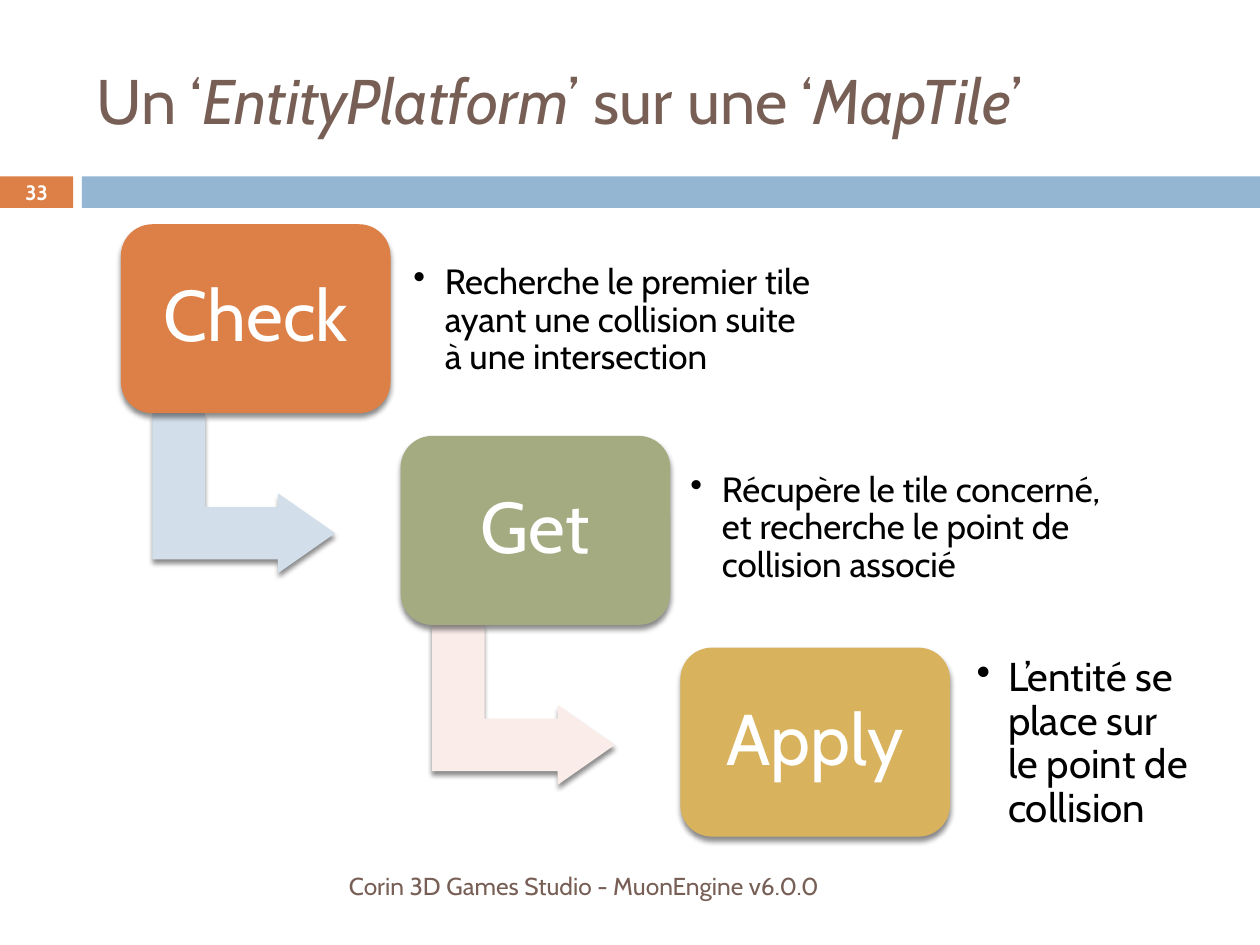
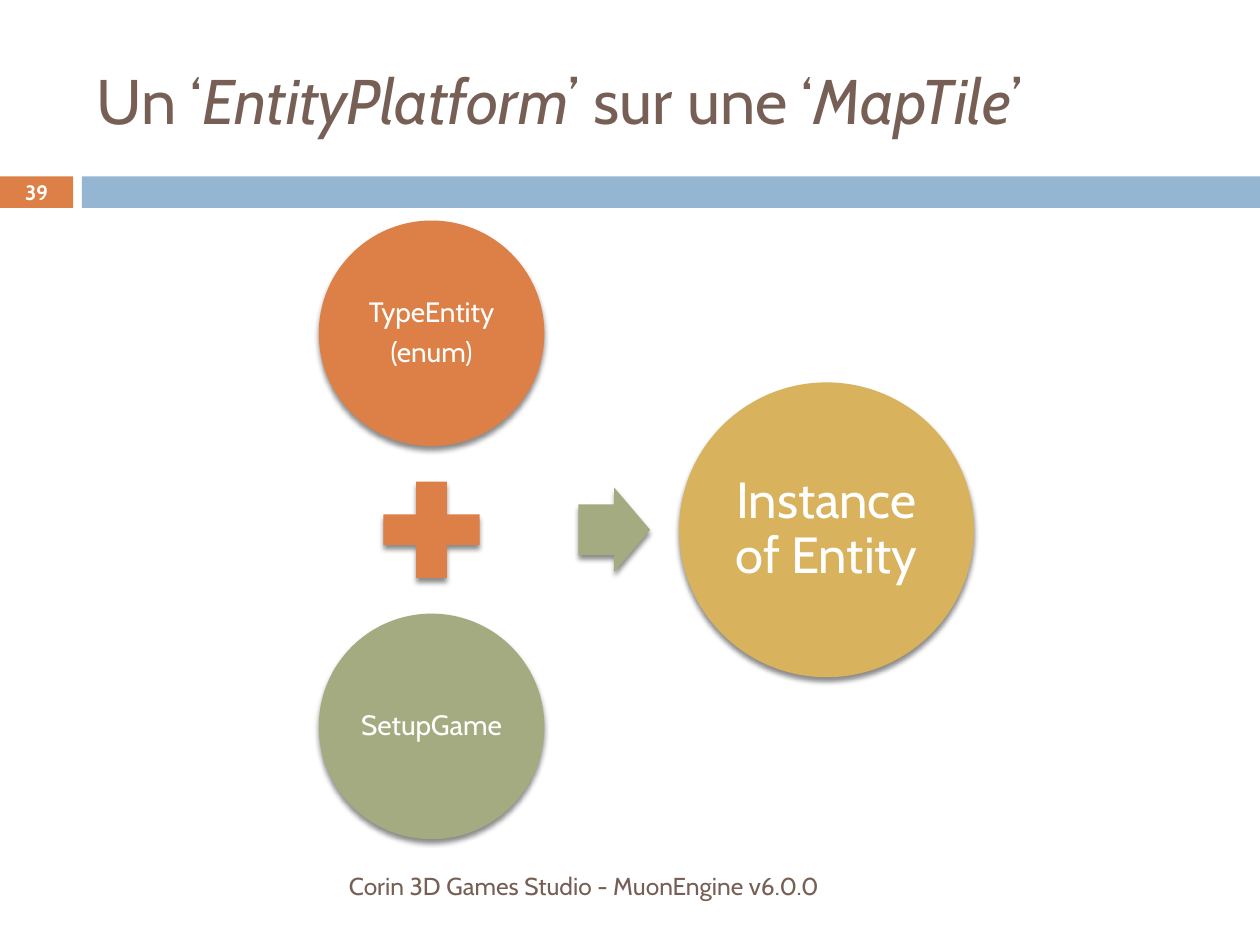
"""Build two slides on placing an entity on a tile map: a step flow and a sum of two parts."""
from lxml.etree import SubElement
from pptx import Presentation
from pptx.dml.color import RGBColor
from pptx.enum.shapes import MSO_SHAPE
from pptx.enum.text import MSO_ANCHOR, PP_ALIGN
from pptx.oxml.ns import qn
from pptx.util import Inches, Pt

ORANGE = RGBColor(0xDD, 0x80, 0x47)
BLUE = RGBColor(0x94, 0xB6, 0xD2)
GREEN = RGBColor(0xA5, 0xAB, 0x81)
GOLD = RGBColor(0xD8, 0xB2, 0x5C)
PALE_BLUE = RGBColor(0xD2, 0xDE, 0xEA)
PALE_PINK = RGBColor(0xF9, 0xEC, 0xE9)
BROWN = RGBColor(0x77, 0x5F, 0x55)
WHITE = RGBColor(0xFF, 0xFF, 0xFF)
BLACK = RGBColor(0, 0, 0)
FONT = "Cabin"

TITLE = [("Un ‘", False), ("EntityPlatform", True), ("’ sur une ‘", False),
         ("MapTile", True), ("’", False)]
FOOTER = "Corin 3D Games Studio - MuonEngine v6.0.0"

STEPS = [
    {"name": "Check", "color": ORANGE, "arrow": PALE_BLUE, "size": 20, "note_box": (3.17, 1.94, 3.42, 1.21),
     "note": "Recherche le premier tile ayant une collision suite à une intersection"},
    {"name": "Get", "color": GREEN, "arrow": PALE_PINK, "size": 20, "note_box": (5.37, 3.59, 3.75, 1.21),
     "note": "Récupère le tile concerné, et recherche le point de collision associé"},
    {"name": "Apply", "color": GOLD, "arrow": None, "size": 23, "note_box": (7.64, 5.25, 1.95, 1.31),
     "note": "L’entité se place sur le point de collision"},
]
STEP_LEFT, STEP_TOP = 0.96, 1.78
STEP_WIDTH, STEP_HEIGHT = 2.14, 1.5
STEP_RIGHT, STEP_DOWN = 2.22, 1.68

PARTS = [(["TypeEntity", "(enum)"], ORANGE), (["SetupGame"], GREEN)]
PART_LEFT, PART_TOP, PART_SIZE, PART_PITCH = 2.53, 1.75, 1.79, 3.12
PLUS_SIZE = 1.04
ARROW_LEFT, ARROW_WIDTH, ARROW_HEIGHT = 4.59, 0.57, 0.67
RESULT = "Instance of Entity"
RESULT_LEFT, RESULT_SIZE = 5.39, 2.34


def set_frame(shape, inset=0.1):
    frame = shape.text_frame
    frame.word_wrap = True
    frame.vertical_anchor = MSO_ANCHOR.MIDDLE
    frame.margin_left = frame.margin_right = Inches(inset)
    frame.margin_top = frame.margin_bottom = Inches(inset)
    return frame


def style_font(paragraph, size, color, align=PP_ALIGN.LEFT):
    paragraph.alignment = align
    paragraph.font.name = FONT
    paragraph.font.size = Pt(size)
    paragraph.font.color.rgb = color


def style_diagram(paragraph, size, color, align, gap):
    style_font(paragraph, size, color, align)
    paragraph.line_spacing = 0.9
    paragraph.space_after = Pt(round(size * gap, 1))


def add_text_box(slide, box, inset=0.1):
    return set_frame(slide.shapes.add_textbox(*map(Inches, box)), inset)


def add_filled(slide, kind, box, color, adjustments=()):
    shape = slide.shapes.add_shape(kind, *map(Inches, box))
    shape.shadow.inherit = False
    shape.fill.solid()
    shape.fill.fore_color.rgb = color
    shape.line.fill.background()
    for index, value in enumerate(adjustments):
        shape.adjustments[index] = value
    return shape


def add_diagram_shape(slide, kind, box, color, adjustments=()):
    shape = add_filled(slide, kind, box, color, adjustments)
    effects = shape.fill._xPr.find(qn("a:effectLst"))
    shadow = SubElement(effects, qn("a:outerShdw"), blurRad=str(Pt(3)), dist=str(Pt(2.4)),
                        dir="5400000", rotWithShape="0")
    shadow_color = SubElement(shadow, qn("a:srgbClr"), val="000000")
    SubElement(shadow_color, qn("a:alpha"), val="45000")
    return shape


def add_label(shape, lines, size, inset):
    frame = set_frame(shape, inset)
    frame.text = "\n".join(lines)
    for paragraph in frame.paragraphs:
        style_diagram(paragraph, size, WHITE, PP_ALIGN.CENTER, 0.35)


def add_note(slide, step):
    frame = add_text_box(slide, step["note_box"], 0.11)
    frame.text = step["note"]
    paragraph = frame.paragraphs[0]
    style_diagram(paragraph, step["size"], BLACK, PP_ALIGN.LEFT, 0.15)
    properties = paragraph._p.get_or_add_pPr()
    properties.set("marL", str(Inches(0.25)))
    properties.set("indent", str(Inches(-0.25)))
    SubElement(properties, qn("a:buChar"), char="•")
    properties.append(properties.find(qn("a:defRPr")))


def add_base_slide(presentation, number):
    slide = presentation.slides.add_slide(presentation.slide_layouts[6])
    badge = add_filled(slide, MSO_SHAPE.RECTANGLE, (0, 1.4, 0.58, 0.25), ORANGE)
    add_filled(slide, MSO_SHAPE.RECTANGLE, (0.65, 1.4, 9.35, 0.25), BLUE)
    frame = set_frame(badge, 0)
    frame.text = str(number)
    style_font(frame.paragraphs[0], 11.9, WHITE, PP_ALIGN.CENTER)
    frame.paragraphs[0].font.bold = True

    title = add_text_box(slide, (0.67, 0.25, 8.92, 1.08)).paragraphs[0]
    style_font(title, 36, BROWN)
    for text, italic in TITLE:
        run = title.add_run()
        run.text = text
        run.font.italic = italic

    footer = add_text_box(slide, (0.67, 6.83, 5.93, 0.4))
    footer.text = FOOTER
    style_font(footer.paragraphs[0], 14, BROWN, PP_ALIGN.RIGHT)
    return slide


def build_steps(presentation):
    slide = add_base_slide(presentation, 33)
    for index, step in enumerate(STEPS):
        left = STEP_LEFT + index * STEP_RIGHT
        top = STEP_TOP + index * STEP_DOWN
        if step["arrow"]:
            arrow = add_diagram_shape(slide, MSO_SHAPE.BENT_UP_ARROW, (left + 0.34, top + 1.41, 1.27, 1.45),
                                      step["arrow"], (0.328, 0.25, 0.358))
            arrow.rotation = 90
        box = add_diagram_shape(slide, MSO_SHAPE.ROUNDED_RECTANGLE, (left, top, STEP_WIDTH, STEP_HEIGHT),
                                step["color"], (0.167,))
        add_label(box, [step["name"]], 41, 0.17)
        add_note(slide, step)


def build_sum(presentation):
    slide = add_base_slide(presentation, 39)
    middle = PART_TOP + (PART_PITCH + PART_SIZE) / 2
    for index, (lines, color) in enumerate(PARTS):
        top = PART_TOP + index * PART_PITCH
        circle = add_diagram_shape(slide, MSO_SHAPE.OVAL, (PART_LEFT, top, PART_SIZE, PART_SIZE), color)
        add_label(circle, lines, 16, 0.02)
    plus_left = PART_LEFT + (PART_SIZE - PLUS_SIZE) / 2
    add_diagram_shape(slide, MSO_SHAPE.MATH_PLUS, (plus_left, middle - PLUS_SIZE / 2, PLUS_SIZE, PLUS_SIZE), ORANGE)
    add_diagram_shape(slide, MSO_SHAPE.RIGHT_ARROW,
                      (ARROW_LEFT, middle - ARROW_HEIGHT / 2, ARROW_WIDTH, ARROW_HEIGHT), GREEN, (0.6, 0.5))
    result = add_diagram_shape(slide, MSO_SHAPE.OVAL,
                               (RESULT_LEFT, middle - RESULT_SIZE / 2, RESULT_SIZE, RESULT_SIZE), GOLD)
    add_label(result, [RESULT], 29, 0.04)


def main():
    presentation = Presentation()
    presentation.slide_width = Inches(10)
    presentation.slide_height = Inches(7.5)
    build_steps(presentation)
    build_sum(presentation)
    presentation.save("out.pptx")


if __name__ == "__main__":
    main()
